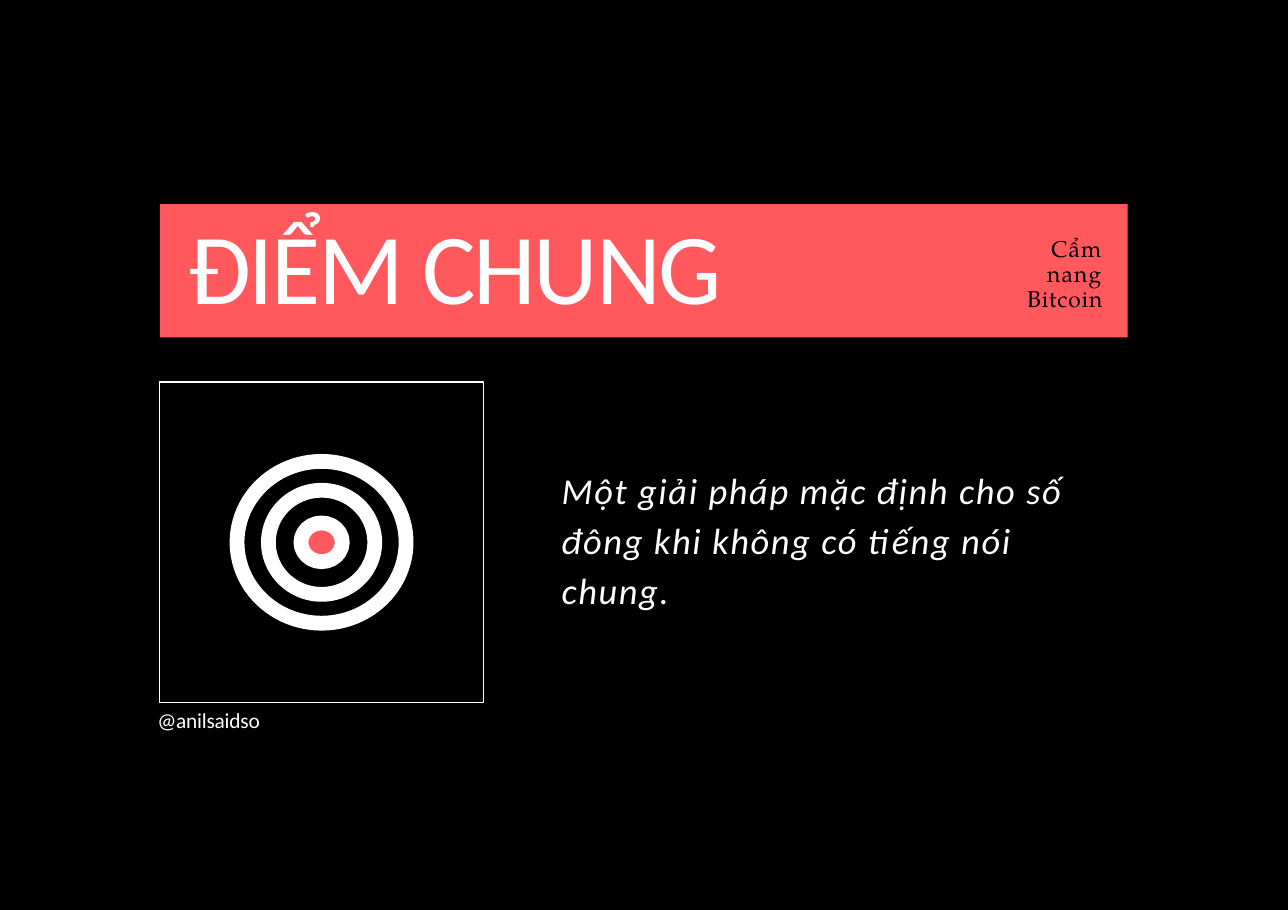
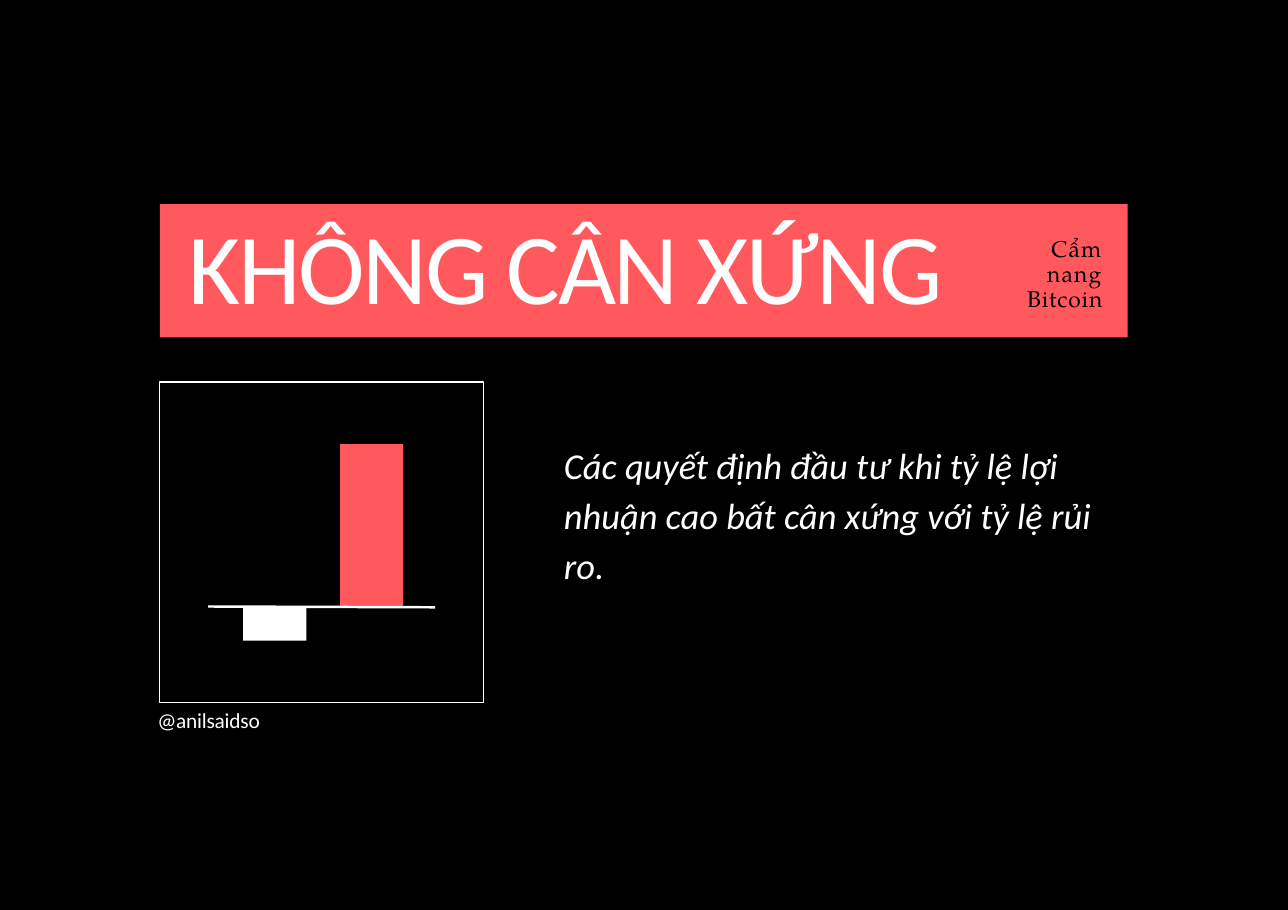
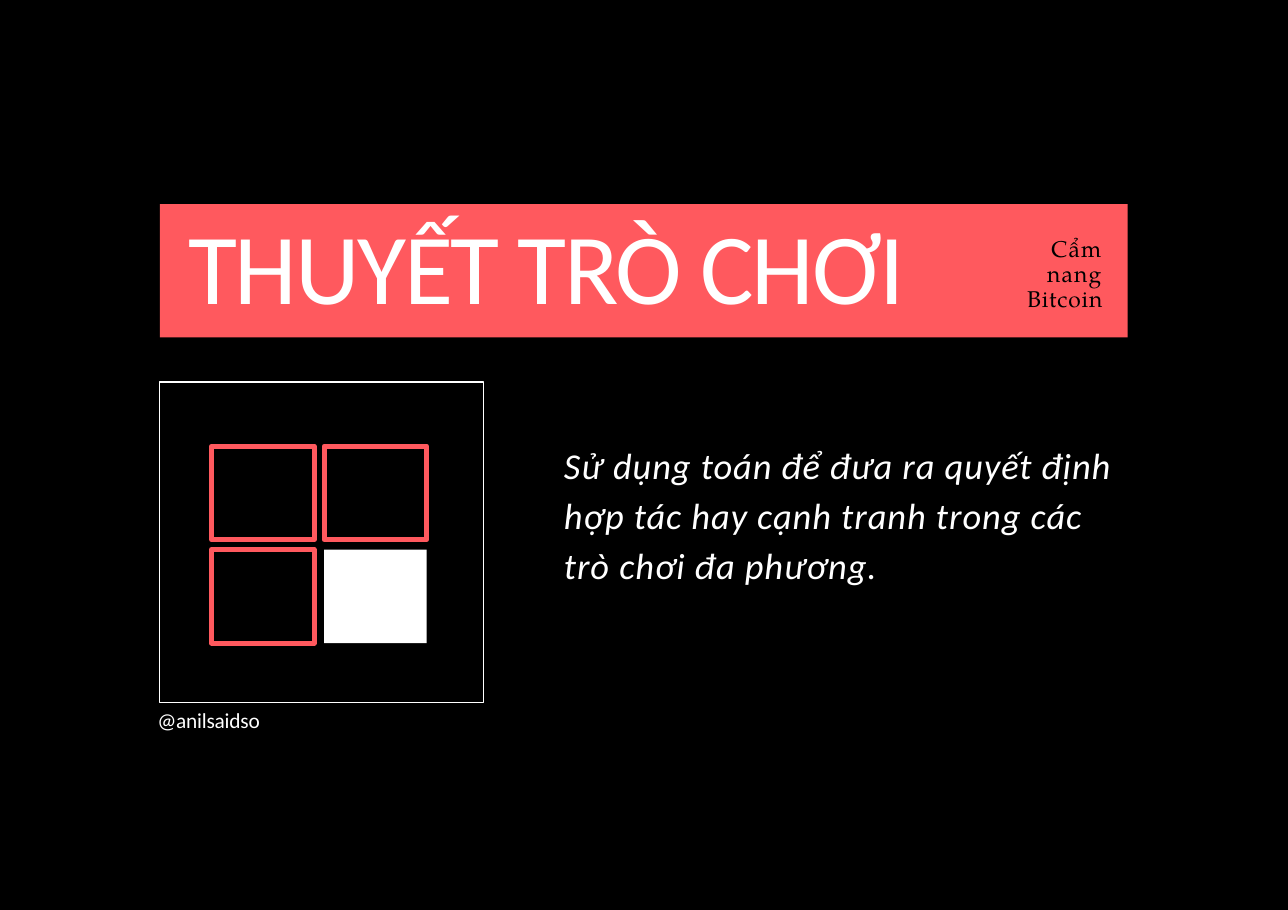
from dataclasses import dataclass
from itertools import product
from typing import Any, Callable

from lxml.etree import SubElement
from pptx import Presentation
from pptx.dml.color import RGBColor as Rgb
from pptx.enum.shapes import MSO_CONNECTOR as Conn, MSO_SHAPE as Geo
from pptx.enum.text import MSO_AUTO_SIZE as Fit, PP_ALIGN as Align
from pptx.oxml.ns import qn
from pptx.util import Pt

HUES = {"black": "000000", "white": "FFFFFF", "coral": "FF595E"}


@dataclass
class Box:
    x: float
    y: float
    w: float
    h: float


@dataclass
class Style:
    size: float
    hue: str = "white"
    face: str = "Calibri"
    slant: bool = False


@dataclass
class Card:
    title: str
    body: str
    place: Box
    space: float
    draw: Callable[[Any], None]


BAND = Box(97.4, 124.3, 589.7, 81.2)
FRAME = Box(97.4, 232.7, 197.1, 195.4)
TITLE = Box(113.8, 122.6, 471.6, 75)
LOGO = Box(592.6, 139, 79.2, 48.2)
HANDLE = Box(95, 429.1, 67, 16.6)
HEAD = Style(61.2)
TEXT = Style(22.2, slant=True)
SMALL = Style(13)
SERIF = Style(13.9, "black", "TeX Gyre Pagella")


def tint(name: str) -> Rgb:
    return Rgb.from_string(HUES[name])


def shape(slide: Any, geo: Geo, box: Box, fill: str = "", line: str = "",
          width: float = 0) -> None:
    item = slide.shapes.add_shape(geo, Pt(box.x), Pt(box.y), Pt(box.w), Pt(box.h))
    item.shadow.inherit = False
    if fill:
        item.fill.solid()
        item.fill.fore_color.rgb = tint(fill)
    else:
        item.fill.background()
    if line:
        item.line.color.rgb = tint(line)
        item.line.width = Pt(width)
    else:
        item.line.fill.background()


def write(slide: Any, box: Box, style: Style, parts: list[tuple[str, float]],
          top: float = 1.6, first: float = 0, **form: Any) -> None:
    item = slide.shapes.add_textbox(Pt(box.x), Pt(box.y), Pt(box.w), Pt(box.h))
    frame = item.text_frame
    setup = {"word_wrap": True, "auto_size": Fit.SHAPE_TO_FIT_TEXT,
             "margin_left": 0, "margin_right": 0,
             "margin_top": Pt(top), "margin_bottom": 0}
    for key, value in setup.items():
        setattr(frame, key, value)
    para = frame.paragraphs[0]
    for key, value in form.items():
        setattr(para, key, value)
    props = para._p.get_or_add_pPr()
    props.set("marL", str(Pt(0.9)))
    props.set("indent", str(Pt(first)))
    look = {"size": Pt(style.size), "name": style.face, "italic": style.slant}
    for words, space in parts:
        run = para.add_run()
        run.text = words
        for key, value in look.items():
            setattr(run.font, key, value)
        run.font.color.rgb = tint(style.hue)
        run._r.get_or_add_rPr().set("spc", str(round(space * 100)))


def target(slide: Any) -> None:
    mid_x, mid_y = FRAME.x + FRAME.w / 2, FRAME.y + FRAME.h / 2
    rings = [(103, 98.6, ""), (64.8, 63.4, ""), (25.2, 23.6, "coral")]
    for w, h, fill in rings:
        box = Box(mid_x - w / 2, mid_y - h / 2, w, h)
        shape(slide, Geo.OVAL, box, fill, "white", 9)


def bars(slide: Any) -> None:
    base = 369.5
    shape(slide, Geo.RECTANGLE, Box(207.2, base - 99, 38.5, 99), "coral")
    shape(slide, Geo.RECTANGLE, Box(148.2, base, 38.5, 20.8), "white")
    axis = slide.shapes.add_connector(
        Conn.STRAIGHT, Pt(126.8), Pt(base), Pt(265.2), Pt(base + 0.5))
    axis.line.color.rgb = tint("white")
    axis.line.width = Pt(1.5)
    SubElement(axis._element.spPr, qn("a:effectLst"))


def grid(slide: Any) -> None:
    w, h, gap = 62.6, 57, 6
    for row, col in product(range(2), repeat=2):
        box = Box(128.9 + col * (w + gap), 271.8 + row * (h + gap), w, h)
        if row and col:
            shape(slide, Geo.RECTANGLE, box, "white")
        else:
            shape(slide, Geo.RECTANGLE, box, "", "coral", 3)


CARDS = [
    Card("ĐIỂM CHUNG",
         "Một giải pháp mặc định cho số đông khi không có tiếng nói chung.",
         Box(341.3, 279.4, 345.6, 92.2), 1, target),
    Card("KHÔNG CÂN XỨNG",
         "Các quyết định đầu tư khi tỷ lệ lợi nhuận cao bất cân xứng với tỷ lệ rủi ro.",
         Box(342.7, 264.2, 344.9, 92.2), 0, bars),
    Card("THUYẾT TRÒ CHƠI",
         "Sử dụng toán để đưa ra quyết định hợp tác hay cạnh tranh trong các trò chơi đa phương.",
         Box(342.7, 264.2, 344.9, 92.2), 0.6, grid),
]


def build(slide: Any, card: Card) -> None:
    shape(slide, Geo.RECTANGLE, FRAME, "", "white", 0.75)
    shape(slide, Geo.RECTANGLE, BAND, "coral")
    write(slide, TITLE, HEAD, [(card.title, -1.4)])
    write(slide, card.place, TEXT, [(card.body, card.space)], line_spacing=1.15)
    write(slide, HANDLE, SMALL, [("@anilsaidso", -0.1)])
    card.draw(slide)
    write(slide, LOGO, SERIF, [("Cẩm nang ", 0.7), ("Bitcoin", 0.5)], top=5.5,
          first=44.6, alignment=Align.RIGHT, line_spacing=Pt(15.3))


def main() -> None:
    deck = Presentation()
    deck.slide_width, deck.slide_height = Pt(784.8), Pt(554.4)
    back = deck.slide_master.background.fill
    back.solid()
    back.fore_color.rgb = tint("black")
    for card in CARDS:
        build(deck.slides.add_slide(deck.slide_layouts[6]), card)
    deck.save("out.pptx")


if __name__ == "__main__":
    main()
